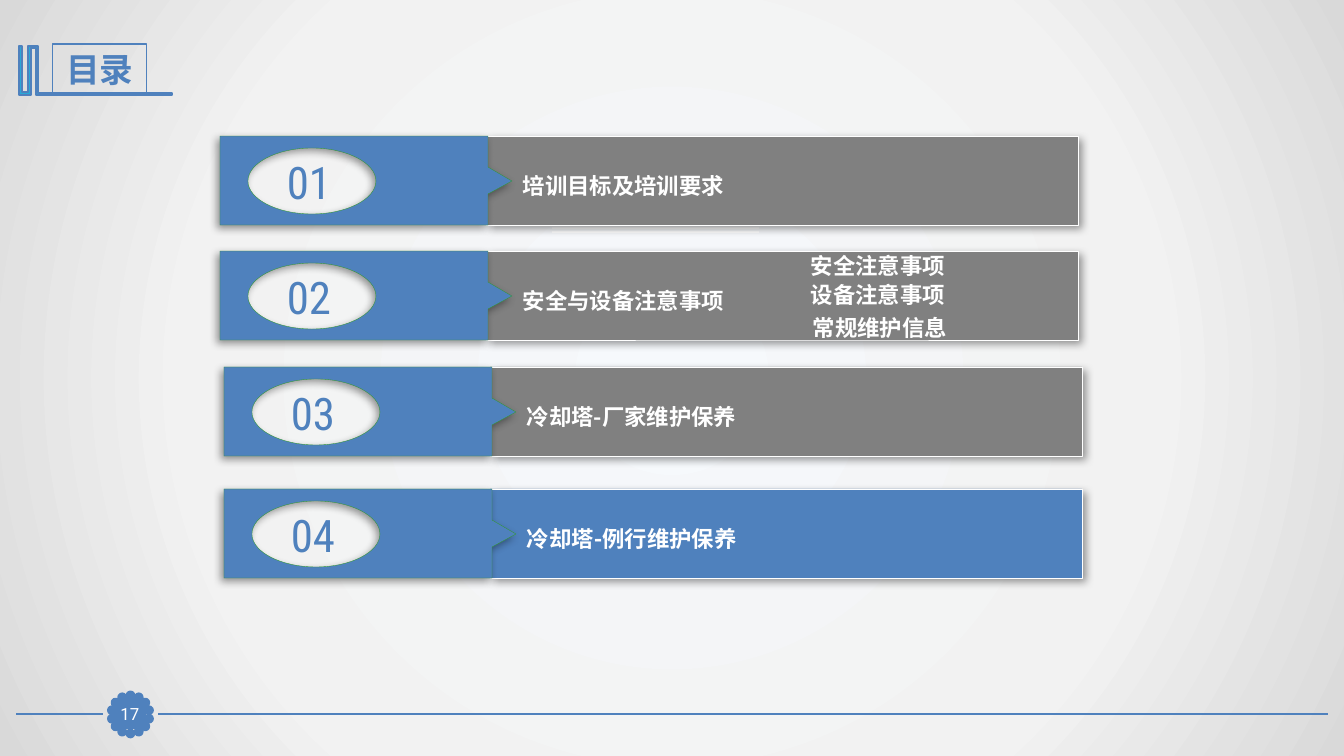
import math
from lxml import etree
from pptx import Presentation
from pptx import util as u
from pptx.dml.color import RGBColor
from pptx.enum import shapes, text
from pptx.oxml import parse_xml
from pptx.oxml.ns import nsdecls, qn

PX = 9071
BLUE, GRAY, WHITE, GREEN = "4F81BD", "808080", "FFFFFF", "339933"
HEAD, BODY, HAN = "Roboto Condensed", "Roboto", "Noto Sans CJK SC"
color = RGBColor.from_string


def style(shape, fill, line, width, shadow_angle=None):
    if fill:
        shape.fill.solid()
        shape.fill.fore_color.rgb = color(fill)
    else:
        shape.fill.background()
    shape.line.color.rgb = color(line)
    shape.line.width = u.Pt(width)
    shape.shadow.inherit = False
    if shadow_angle is not None:
        effects = shape._element.spPr.find(qn("a:effectLst"))
        effects.append(parse_xml(
            f'<a:outerShdw {nsdecls("a")} blurRad="{u.Pt(6)}" dist="{u.Pt(3)}" '
            f'dir="{shadow_angle * 60000}" algn="ctr" rotWithShape="0">'
            '<a:srgbClr val="000000"><a:alpha val="40000"/></a:srgbClr></a:outerShdw>'))


def write(box, words, align, anchor, **font):
    frame = box.text_frame
    frame.word_wrap = True
    frame.auto_size = text.MSO_AUTO_SIZE.NONE
    frame.vertical_anchor = anchor
    para = frame.paragraphs[0]
    para.alignment = align
    span = para.add_run()
    span.text = words
    span.font.color.rgb = color(font.pop("rgb"))
    for name, value in font.items():
        setattr(span.font, name, value)
    etree.SubElement(span._r.get_or_add_rPr(), qn("a:ea")).set("typeface", HAN)


deck = Presentation()
deck.slide_width, deck.slide_height = 1344 * PX, 756 * PX
page = deck.slides.add_slide(deck.slide_layouts[5])
items = page.shapes
LEFT, CENTER = text.PP_ALIGN.LEFT, text.PP_ALIGN.CENTER
TOP, MIDDLE = text.MSO_ANCHOR.TOP, text.MSO_ANCHOR.MIDDLE

page.background.fill.solid()
solid = page._element.cSld.find(".//" + qn("a:solidFill"))
stops = "".join(f'<a:gs pos="{pos * 1000}"><a:srgbClr val="{rgb}"/></a:gs>'
                for pos, rgb in [(0, "F6F9FC"), (63, "F2F2F2"), (100, "D9D9D9")])
solid.getparent().replace(solid, parse_xml(
    f'<a:gradFill {nsdecls("a")} rotWithShape="1"><a:gsLst>{stops}</a:gsLst>'
    '<a:path path="circle"><a:fillToRect l="50000" t="50000" r="50000" b="50000"/>'
    '</a:path></a:gradFill>'))

for x1, x2, y, rgb, width in [(1328, 158, 714, BLUE, 1.25), (103, 16, 714, BLUE, 1.25),
                              (552, 759, 228, WHITE, 1.5), (552, 759, 232, WHITE, 1.5)]:
    rule = items.add_connector(shapes.MSO_CONNECTOR.STRAIGHT, x1 * PX, y * PX, x2 * PX, y * PX)
    rule.line.color.rgb = color(rgb)
    rule.line.width = u.Pt(width)
    etree.SubElement(rule._element.spPr, qn("a:effectLst"))

PETALS = 14
for number in range(PETALS):
    angle = 2 * math.pi * number / PETALS
    left = int((127 + 19 * math.sin(angle)) * PX)
    top = int((711 - 19 * math.cos(angle)) * PX)
    petal = items.add_shape(shapes.MSO_SHAPE.OVAL, left, top, 7 * PX, 7 * PX)
    style(petal, BLUE, BLUE, 2)

badge = items.add_shape(shapes.MSO_SHAPE.RECTANGLE, 114 * PX, 698 * PX, 32 * PX, 31 * PX)
style(badge, BLUE, BLUE, 0.75)
for side in ("left", "top", "right", "bottom"):
    setattr(badge.text_frame, f"margin_{side}", 0)
write(badge, "17", CENTER, MIDDLE, rgb=WHITE, name=BODY, size=u.Pt(12))

corners = [(37, 46), (38, 46), (38, 93), (172, 93), (172, 95), (36, 95), (36, 48), (31, 48),
           (31, 95), (19, 95), (19, 46), (22, 46), (22, 92), (28, 92), (28, 46)]
points = [(x * PX, y * PX) for x, y in corners]
builder = items.build_freeform(*points[0])
builder.add_line_segments(points[1:], close=True)
style(builder.convert_to_shape(), "28A9D6", BLUE, 2)

title = items.title
title.left, title.top, title.width, title.height = 53 * PX, 44 * PX, 94 * PX, 50 * PX
style(title, None, BLUE, 0.75)
write(title, "目录", CENTER, MIDDLE, rgb=BLUE, name=HEAD, size=u.Pt(24), bold=True)

rows = [
    (220, 136, GRAY, BODY, "培训目标及培训要求"),
    (220, 251, GRAY, BODY, "安全与设备注意事项"),
    (224, 367, GRAY, HAN, "冷却塔-厂家维护保养"),
    (224, 489, BLUE, BODY, "冷却塔-例行维护保养"),
]
flag_corners = [(0, 0), (268, 0), (268, 31), (292, 45), (268, 58), (268, 89), (0, 89)]
hole = [(92, 12), (28, 45), (92, 78), (156, 45), (92, 12)]
curves = [
    [(57, 12), (28, 27), (28, 45)],
    [(28, 63), (57, 78), (92, 78)],
    [(127, 78), (156, 63), (156, 45)],
    [(156, 27), (127, 12), (92, 12)],
]
for number, (left, top, fill, face, label) in enumerate(rows, 1):
    bar = items.add_shape(shapes.MSO_SHAPE.RECTANGLE,
                          (left + 266) * PX, top * PX, 592 * PX, 89 * PX)
    style(bar, fill, WHITE, 0.25, 45)

    rim, edge = ([((left + x) * PX, (top + y) * PX) for x, y in outline]
                 for outline in (hole, flag_corners))
    builder = items.build_freeform(*rim[0])
    builder.add_line_segments(rim[1:], close=True)
    builder.move_to(*edge[0])
    builder.add_line_segments(edge[1:], close=True)
    flag = builder.convert_to_shape()
    segments = list(flag._element.iter(qn("a:lnTo")))
    for segment, curve in zip(segments, curves):
        dots = "".join(f'<a:pt x="{x * PX}" y="{y * PX}"/>' for x, y in curve)
        segment.getparent().replace(segment, parse_xml(
            f'<a:cubicBezTo {nsdecls("a")}>{dots}</a:cubicBezTo>'))
    style(flag, BLUE, GREEN, 0.25, 135)

    box = items.add_textbox((left + 42) * PX, (top + 14) * PX, 94 * PX, 64 * PX)
    write(box, f"{number:02}", CENTER, MIDDLE, rgb=BLUE, name=HEAD, size=u.Pt(32))
    box = items.add_textbox((left + 293) * PX, (top + 31) * PX, 565 * PX, 37 * PX)
    write(box, label, LEFT, TOP, rgb=WHITE, name=face, size=u.Pt(16), bold=True)

for left, top, topic in [(801, 247, "安全注意事项"), (801, 276, "设备注意事项"),
                         (803, 309, "常规维护信息")]:
    box = items.add_textbox(left * PX, top * PX, 270 * PX, 37 * PX)
    write(box, topic, LEFT, TOP, rgb=WHITE, name=BODY, size=u.Pt(16), bold=True)

deck.save("out.pptx")
